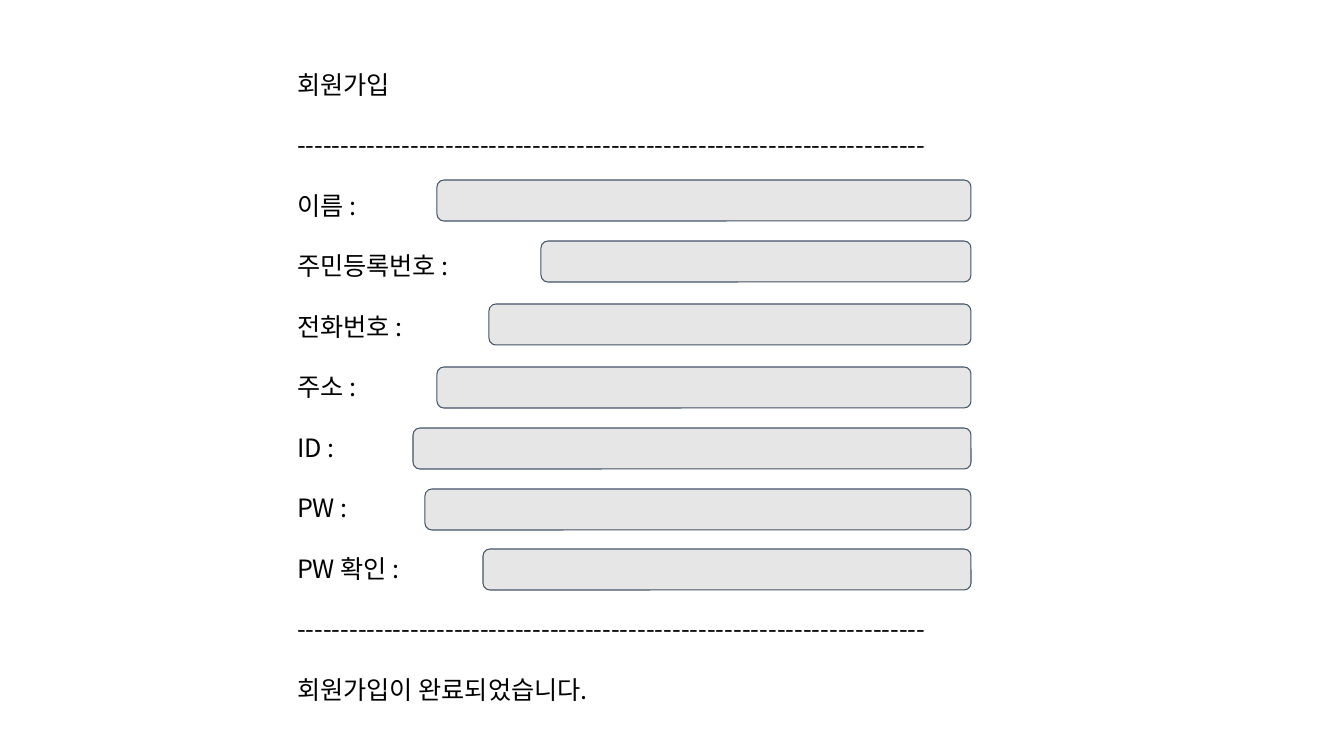
import pptx
import pptx.dml.color
import pptx.enum.shapes
import pptx.enum.text
import pptx.oxml.ns
import pptx.util
from lxml import etree

# Content: each field is label, left and top of its input box
TITLE = "회원가입"
FIELDS = [
    ("이름 : ", 437, 180),
    ("주민등록번호 : ", 541, 241),
    ("전화번호 :", 489, 304),
    ("주소 :", 437, 367),
    ("ID : ", 413, 428),
    ("PW : ", 425, 489),
    ("PW 확인 :  ", 483, 549),
]
RULE = "-" * 72
MESSAGE = "회원가입이 완료되었습니다."

# Layout in pixels, text sizes in points
FONT = "Noto Sans CJK KR"
TEXT_LEFT, TEXT_WIDTH, TEXT_TOP, ROW_PITCH = 284, 866, 56, 60.5
FIELD_RIGHT, FIELD_HEIGHT = 971, 41
TEXT_SIZE, LINE_HEIGHT = 18, 21.6


def px(length):
    return pptx.util.Emu(round(length * 914400 / 100.8))


def color(value):
    return pptx.dml.color.RGBColor.from_string(value)


def write_lines(box, lines, size=TEXT_SIZE, ink="000000", gap=LINE_HEIGHT):
    frame = box.text_frame
    frame.word_wrap = True
    frame.auto_size = pptx.enum.text.MSO_AUTO_SIZE.NONE
    frame.vertical_anchor = pptx.enum.text.MSO_ANCHOR.TOP
    frame.margin_left = frame.margin_right = px(13)
    frame.margin_top = frame.margin_bottom = px(13)
    for index, line in enumerate(lines):
        para = frame.paragraphs[0] if index == 0 else frame.add_paragraph()
        para.alignment = pptx.enum.text.PP_ALIGN.LEFT
        para.line_spacing = pptx.util.Pt(LINE_HEIGHT)
        para.space_before = pptx.util.Pt(0)
        para.space_after = pptx.util.Pt(gap)
        properties = para._p.get_or_add_pPr()
        properties.set("marL", "0")
        properties.set("indent", "0")
        etree.SubElement(properties, pptx.oxml.ns.qn("a:buNone"))
        span = para.add_run()
        span.text = line
        span.font.size = pptx.util.Pt(size)
        span.font.name = FONT
        span.font.color.rgb = color(ink)
        east_asian = etree.SubElement(span._r.get_or_add_rPr(), pptx.oxml.ns.qn("a:ea"))
        east_asian.set("typeface", FONT)


def place(box, left, top, width, height):
    box.left, box.top, box.width, box.height = map(px, (left, top, width, height))


deck = pptx.Presentation()
deck.slide_width, deck.slide_height = px(1344), px(756)
page = deck.slides.add_slide(deck.slide_layouts[1])

# Title and form text
title, form = page.placeholders
place(title, TEXT_LEFT, TEXT_TOP, TEXT_WIDTH, ROW_PITCH)
write_lines(title, [TITLE], gap=0)
lines = [RULE, *(label for label, left, top in FIELDS), RULE, MESSAGE]
place(form, TEXT_LEFT, TEXT_TOP + ROW_PITCH, TEXT_WIDTH, ROW_PITCH * len(lines))
write_lines(form, lines)

# Input boxes share one right edge
for label, left, top in FIELDS:
    field = page.shapes.add_shape(
        pptx.enum.shapes.MSO_SHAPE.ROUNDED_RECTANGLE,
        px(left), px(top), px(FIELD_RIGHT - left), px(FIELD_HEIGHT))
    field.shadow.inherit = False
    field.fill.solid()
    field.fill.fore_color.rgb = color("E7E6E6")
    field.line.color.rgb = color("44546A")
    field.line.width = pptx.util.Pt(0.75)

deck.save("out.pptx")
